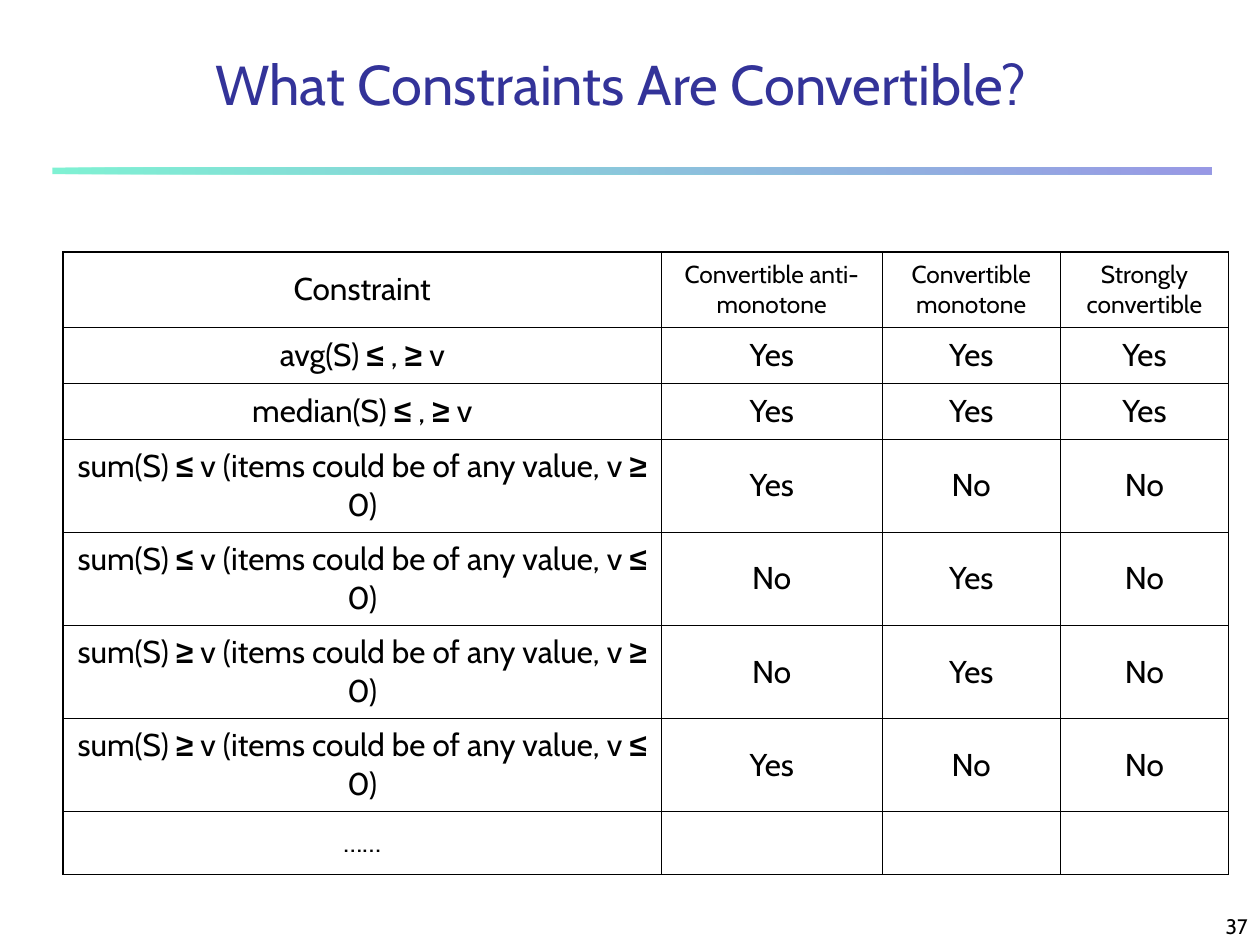
from itertools import groupby
from lxml.etree import SubElement as Sub
from pptx import Presentation as Deck
from pptx.dml.color import RGBColor as Rgb
from pptx.enum.shapes import MSO_SHAPE as Kind
from pptx.enum.text import MSO_ANCHOR as Anchor, PP_ALIGN as Align
from pptx.oxml.ns import qn
from pptx.util import Pt

HUES = {"title": "333399", "text": "000000", "mint": "00E4A8", "blue": "3333CC"}
FONT, SIGN = "Cabin", "Arial"
THIN, THICK = 0.45, 1.08

HEADS = ["Constraint", "Convertible anti-monotone",
         "Convertible monotone", "Strongly convertible"]
ITEMS = "v (items could be of any value, v"
ROWS = [
    HEADS,
    ["avg(S) ≤ , ≥ v", "Yes", "Yes", "Yes"],
    ["median(S) ≤ , ≥ v", "Yes", "Yes", "Yes"],
    [f"sum(S) ≤ {ITEMS} ≥ 0)", "Yes", "No", "No"],
    [f"sum(S) ≤ {ITEMS} ≤ 0)", "No", "Yes", "No"],
    [f"sum(S) ≥ {ITEMS} ≥ 0)", "No", "Yes", "No"],
    [f"sum(S) ≥ {ITEMS} ≤ 0)", "Yes", "No", "No"],
    ["……", "", "", ""],
]
WIDE = [342, 126, 102, 96]
HIGH = [43, 32, 32] + [53.2] * 4 + [26.7]


class Page:
    def __init__(self, deck):
        self.slide = deck.slides.add_slide(deck.slide_layouts[5])

    def text(self, frame, words, size, hue="text", align=Align.CENTER, gap=0):
        """Set one paragraph, with the comparison signs in bold."""
        para = frame.paragraphs[0]
        para.alignment, para.space_before = align, Pt(gap)
        for sign, part in groupby(words, lambda c: c in "≤≥"):
            run = para.add_run()
            run.text = "".join(part)
            look = {"name": SIGN if sign else FONT, "size": Pt(size), "bold": sign}
            for key, val in look.items():
                setattr(run.font, key, val)
            run.font.color.rgb = Rgb.from_string(HUES[hue])

    def place(self, shape, *box):
        for key, val in zip(("left", "top", "width", "height"), box):
            setattr(shape, key, Pt(val))

    def title(self, words, *box):
        shape = self.slide.shapes.title
        self.place(shape, *box)
        shape.text_frame.vertical_anchor = Anchor.BOTTOM
        self.text(shape.text_frame, words, 32, "title")

    def label(self, words, *box):
        frame = self.slide.shapes.add_textbox(*map(Pt, box)).text_frame
        frame.word_wrap, frame.vertical_anchor = True, Anchor.BOTTOM
        self.text(frame, words, 12, align=Align.RIGHT)

    def bar(self, hues, *box):
        shape = self.slide.shapes.add_shape(Kind.RECTANGLE, *map(Pt, box))
        shape.shadow.inherit = False
        shape.line.fill.background()
        shape.fill.gradient()
        shape.fill.gradient_angle = 0
        for stop, hue in zip(shape.fill.gradient_stops, hues):
            stop.color.rgb = Rgb.from_string(HUES[hue])
        for tint in shape._element.iter(qn("a:srgbClr")):
            Sub(tint, qn("a:alpha"), val="50000")

    def edge(self, cell, side, width):
        line = Sub(cell._tc.get_or_add_tcPr(), qn(f"a:ln{side}"), w=str(Pt(width)))
        fill = Sub(line, qn("a:solidFill"))
        Sub(fill, qn("a:srgbClr"), val=HUES["text"])

    def blank(self, cell, size):
        """Give an empty cell its own text size."""
        end = cell.text_frame.paragraphs[0]._p.get_or_add_endParaRPr()
        end.set("sz", str(size * 100))
        Sub(end, qn("a:latin"), typeface=FONT)

    def table(self, rows, wide, high, left, top):
        box = map(Pt, (left, top, sum(wide), sum(high)))
        grid = self.slide.shapes.add_table(len(rows), len(wide), *box).table
        grid.first_row = grid.horz_banding = False
        for col, val in zip(grid.columns, wide):
            col.width = Pt(val)
        for row, val in zip(grid.rows, high):
            row.height = Pt(val)
        last, end = len(rows) - 1, len(wide) - 1
        for r, row in enumerate(rows):
            for c, words in enumerate(row):
                cell = grid.cell(r, c)
                outer = {"L": c == 0, "R": c == end, "T": r == 0, "B": r == last}
                for side, out in outer.items():
                    self.edge(cell, side, THICK if out else THIN)
                cell.fill.background()
                cell.vertical_anchor = Anchor.MIDDLE
                size = 14 if r == 0 and c else 16 if r == last else 18
                if words:
                    self.text(cell.text_frame, words, size, gap=size / 4)
                else:
                    self.blank(cell, 24)


def main():
    deck = Deck()
    deck.slide_width, deck.slide_height = Pt(720), Pt(540)
    page = Page(deck)
    # Rule under the title
    page.bar(("mint", "blue"), 30, 95.8, 662.4, 3.8)
    # Page number and title
    page.label("37", 570, 510, 150, 30)
    page.title("What Constraints Are Convertible?", 66, 24, 577.5, 46.5)
    # Constraint table
    page.table(ROWS, WIDE, HIGH, 36, 144)
    deck.save("out.pptx")


if __name__ == "__main__":
    main()
